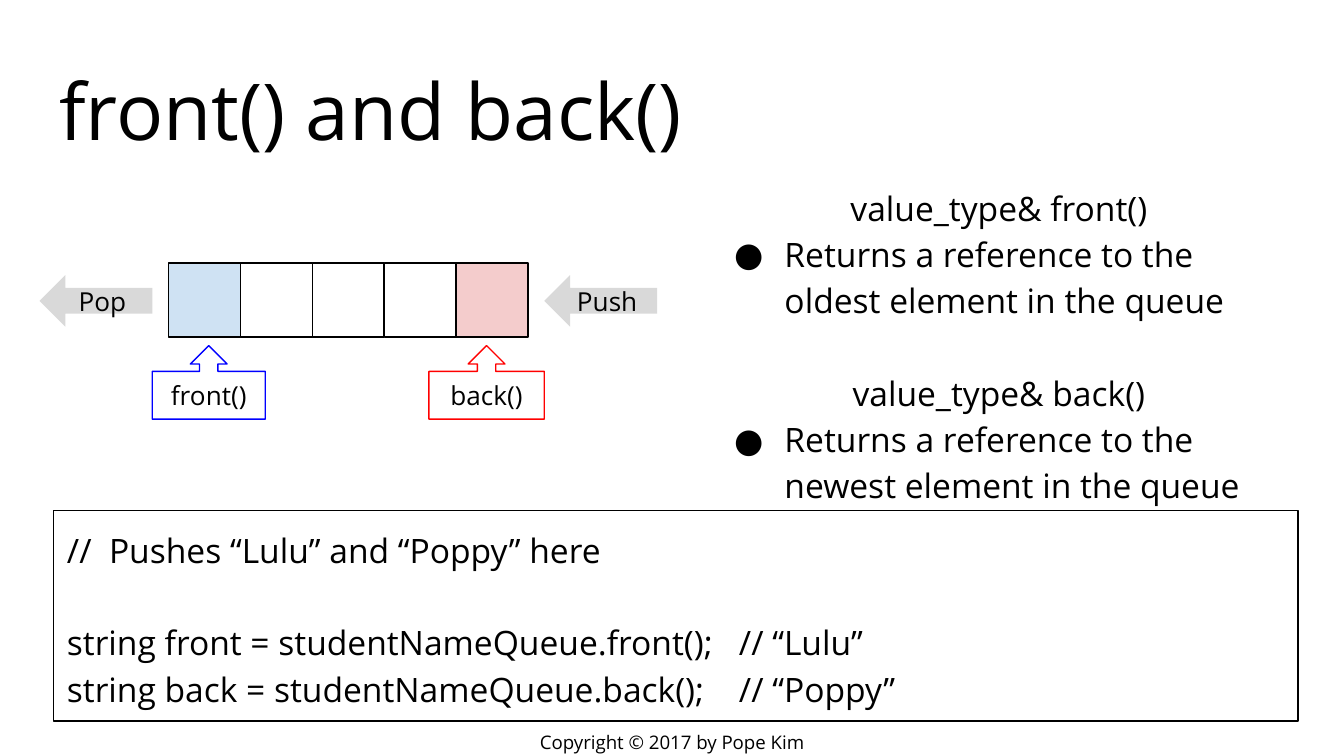
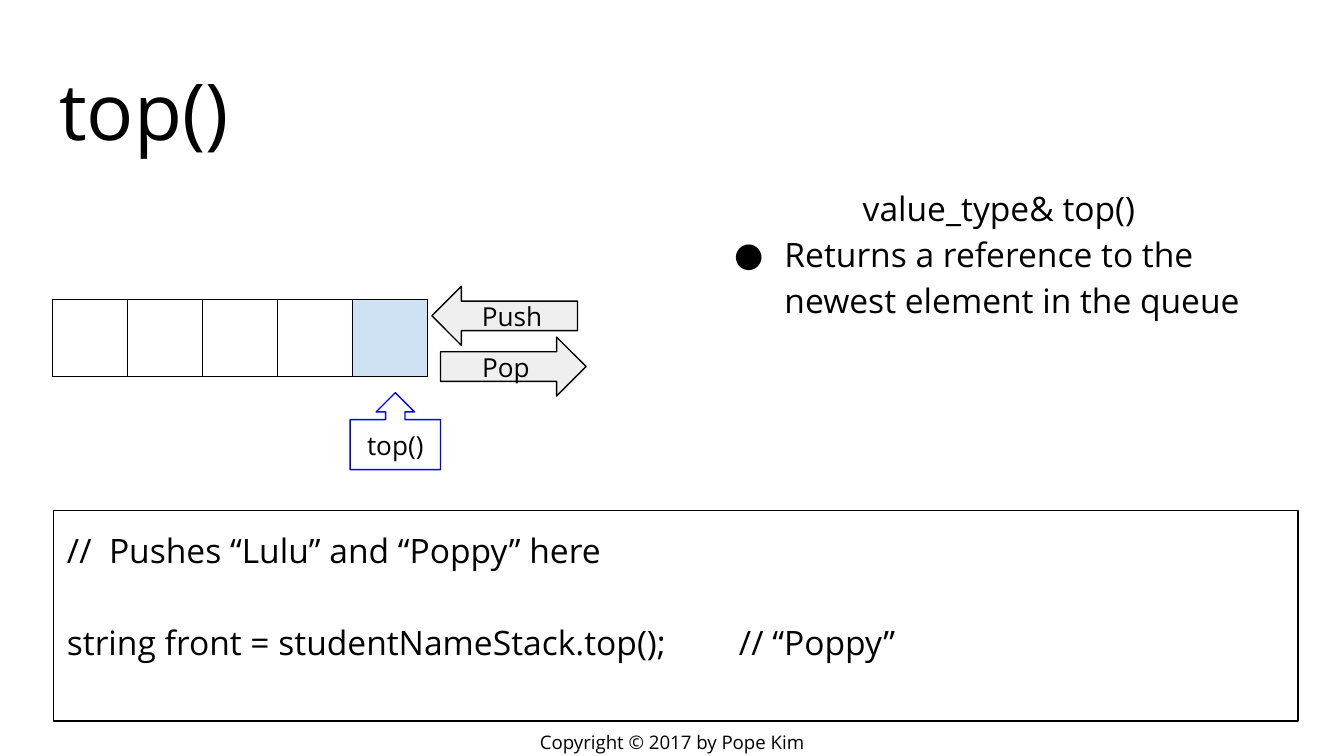
from dataclasses import dataclass

from lxml.etree import SubElement
from pptx import Presentation
from pptx.dml.color import RGBColor
from pptx.enum.shapes import MSO_SHAPE as Shape
from pptx.enum.text import MSO_ANCHOR as Anchor, MSO_AUTO_SIZE as AutoSize, PP_ALIGN as Align
from pptx.oxml.ns import qn
from pptx.util import Pt


@dataclass(frozen=True)
class Theme:
    font: str = "Open Sans"
    black: str = "000000"
    blue: str = "0000FF"
    red: str = "FF0000"
    pale_blue: str = "CFE2F3"
    pale_red: str = "F4CCCC"
    grey: str = "D9D9D9"
    pale_grey: str = "EFEFEF"
    title: int = 42
    body: int = 18
    label: int = 14
    footer: int = 10
    line: float = 0.75
    inset: float = 7.2
    spacing: float = 1.15
    gap: float = 24.75


T = Theme()


def write(tf, text, size=T.body, align=Align.LEFT, anchor=Anchor.TOP, spacing=None, gap=0, bullet=False):
    tf.word_wrap = True
    tf.auto_size = AutoSize.NONE
    tf.vertical_anchor = anchor
    tf.margin_left = tf.margin_right = tf.margin_top = tf.margin_bottom = Pt(T.inset)
    p = tf.paragraphs[0] if not tf.paragraphs[0].runs else tf.add_paragraph()
    p.alignment = align
    p.space_before = Pt(gap)
    if spacing:
        p.line_spacing = spacing
    pPr = p._p.get_or_add_pPr()
    pPr.set("defTabSz", str(Pt(72)))
    if bullet:
        pPr.set("marL", str(Pt(36)))
        pPr.set("indent", str(Pt(-27)))
        color = SubElement(pPr, qn("a:buClr"))
        SubElement(color, qn("a:srgbClr"), val=T.black)
        SubElement(pPr, qn("a:buFont"), typeface=T.font)
        SubElement(pPr, qn("a:buChar"), char="●")
    r = p.add_run()
    r.text = text
    r.font.name = T.font
    r.font.size = Pt(size)
    r.font.color.rgb = RGBColor.from_string(T.black)


def draw(s, kind, at, fill=None, line=T.black):
    sp = s.shapes.add_shape(kind, *map(Pt, at))
    sp.shadow.inherit = False
    if fill:
        sp.fill.solid()
        sp.fill.fore_color.rgb = RGBColor.from_string(fill)
    else:
        sp.fill.background()
    if line:
        sp.line.color.rgb = RGBColor.from_string(line)
        sp.line.width = Pt(T.line)
    else:
        sp.line.fill.background()
    return sp


slides = [
    dict(
        title="front() and back()",
        cells=(90.2, 141, 38.55, 39.5),
        fills=[T.pale_blue, None, None, None, T.pale_red],
        labels=[
            ("back()", Shape.UP_ARROW_CALLOUT, (229.8, 185.2, 61.8, 39.4), None, T.red),
            ("front()", Shape.UP_ARROW_CALLOUT, (81.6, 185.2, 60.5, 39.4), None, T.blue),
            ("Pop", Shape.LEFT_ARROW, (21.2, 147.4, 60.5, 27.6), T.grey, None),
            ("Push", Shape.LEFT_ARROW, (291.6, 147.4, 60.5, 27.6), T.grey, None),
        ],
        notes_height=188,
        members=[
            ("value_type& front()", "Returns a reference to the oldest element in the queue"),
            ("value_type& back()", "Returns a reference to the newest element in the queue"),
        ],
        code=[
            "string front = studentNameQueue.front(); \t// “Lulu”",
            "string back = studentNameQueue.back(); \t// “Poppy”",
        ],
    ),
    dict(
        title="top()",
        cells=(28, 160.6, 40.2, 41),
        fills=[None, None, None, None, T.pale_blue],
        labels=[
            ("top()", Shape.UP_ARROW_CALLOUT, (187.6, 210.4, 48.4, 41.2), None, T.blue),
            ("Pop", Shape.RIGHT_ARROW, (236, 180.6, 78, 31.6), T.pale_grey, T.black),
            ("Push", Shape.LEFT_ARROW, (231.4, 153.4, 78, 31.6), T.pale_grey, T.black),
        ],
        notes_height=126.7,
        members=[
            ("value_type& top()", "Returns a reference to the newest element in the queue"),
        ],
        code=["string front = studentNameStack.top(); \t// “Poppy”"],
    ),
]

prs = Presentation()
prs.slide_width, prs.slide_height = Pt(720), Pt(405)

for page in slides:
    s = prs.slides.add_slide(prs.slide_layouts[5])

    title = s.shapes.title
    title.left, title.top, title.width, title.height = map(Pt, (24.5, 25.2, 671, 65.5))
    write(title.text_frame, page["title"], size=T.title, anchor=Anchor.BOTTOM)

    footer = s.shapes.add_textbox(*map(Pt, (271.2, 389.8, 177.6, 15.2)))
    write(footer.text_frame, "Copyright © 2017 by Pope Kim", size=T.footer,
          align=Align.CENTER, anchor=Anchor.MIDDLE)

    left, top, width, height = page["cells"]
    for i, fill in enumerate(page["fills"]):
        draw(s, Shape.RECTANGLE, (left + i * width, top, width, height), fill)

    for text, kind, at, fill, line in page["labels"]:
        sp = draw(s, kind, at, fill, line)
        write(sp.text_frame, text, size=T.label, align=Align.CENTER, anchor=Anchor.MIDDLE)

    tf = s.shapes.add_textbox(*map(Pt, (377.2, 90, 316, page["notes_height"]))).text_frame
    for i, (signature, meaning) in enumerate(page["members"]):
        write(tf, signature, align=Align.CENTER, spacing=T.spacing, gap=T.gap if i else 0)
        write(tf, meaning, spacing=T.spacing, bullet=True)

    tf = draw(s, Shape.RECTANGLE, (28.8, 273.4, 666.6, 113)).text_frame
    write(tf, "//  Pushes “Lulu” and “Poppy” here", spacing=T.spacing)
    for i, text in enumerate(page["code"]):
        write(tf, text, spacing=T.spacing, gap=0 if i else T.gap)

prs.save("out.pptx")
